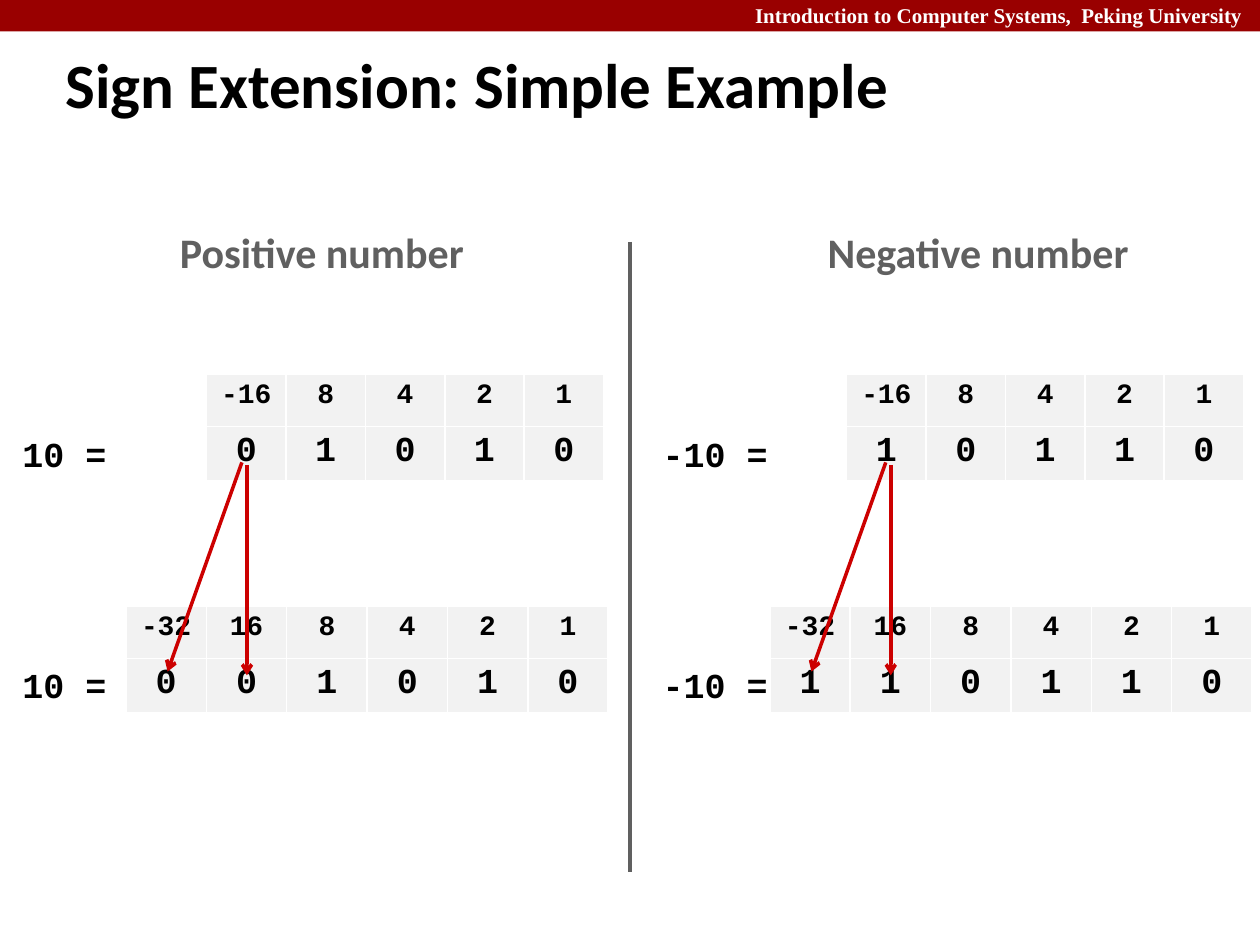
import pptx
import pptx.util
import pptx.dml.color
import pptx.enum.shapes
import pptx.enum.text
import pptx.oxml
import pptx.oxml.ns

COURSE = "Introduction to Computer Systems,  Peking University"
TITLE = "Sign Extension: Simple Example"
HALVES = [
    {
        "heading": "Positive number", "heading_left": 13.3, "heading_width": 24.8,
        "label": "10 =", "label_left": 0.8, "label_width": 10.4,
        "short": ["0", "1", "0", "1", "0"], "short_left": 16.4,
        "long": ["0", "0", "1", "0", "1", "0"], "long_left": 10,
    },
    {
        "heading": "Negative number", "heading_left": 64.7, "heading_width": 26.2,
        "label": "-10 =", "label_left": 51.6, "label_width": 12.1,
        "short": ["1", "0", "1", "1", "0"], "short_left": 67.2,
        "long": ["1", "1", "0", "1", "1", "0"], "long_left": 61.1,
    },
]
SHORT_TOP, LONG_TOP = 29.7, 48.1
SHORT_CELL, LONG_CELL = 6.3, 6.38
ROW_HEIGHT = 4.15
LABEL_DROP = 4.1
ARROWS = [(9.6, 36.9, 9.6, 53.6), (9.2, 36.7, 3.3, 53.3)]

WIDTH, HEIGHT = pptx.util.Inches(10), pptx.util.Inches(7.5)
COLUMNS, ROWS = 100, 75
MONO = "Courier New"
BLACK, WHITE, GREY = "000000", "FFFFFF", "606060"
RED, DARK_RED, PALE = "CC0000", "990000", "F2F2F2"


def x(columns):
    return round(WIDTH * columns / COLUMNS)


def y(rows):
    return round(HEIGHT * rows / ROWS)


def color(value):
    return pptx.dml.color.RGBColor.from_string(value)


def write(frame, text, size, font, tint, align="LEFT"):
    para = frame.paragraphs[0]
    para.text = text
    para.alignment = getattr(pptx.enum.text.PP_ALIGN, align)
    para.font.size = pptx.util.Pt(size)
    para.font.name = font
    para.font.bold = True
    para.font.color.rgb = color(tint)


def add_text(page, left, top, width, height, text, size, font, tint, align="LEFT"):
    box = page.shapes.add_textbox(x(left), y(top), x(width), y(height))
    box.text_frame.word_wrap = False
    write(box.text_frame, text, size, font, tint, align)


def add_border(cell):
    properties = cell._tc.get_or_add_tcPr()
    for position, side in enumerate(("lnL", "lnR", "lnT", "lnB")):
        border = pptx.oxml.parse_xml(
            f'<a:{side} {pptx.oxml.ns.nsdecls("a")} w="12700"><a:solidFill>'
            f'<a:srgbClr val="{WHITE}"/></a:solidFill></a:{side}>')
        properties.insert(position, border)


def add_bits(page, left, top, cell_width, bits):
    count = len(bits)
    weights = [str(2 ** power) for power in reversed(range(count))]
    weights[0] = "-" + weights[0]
    table = page.shapes.add_table(
        2, count, x(left), y(top), x(cell_width * count), y(2 * ROW_HEIGHT)).table
    for row, (values, size) in enumerate([(weights, 16), (bits, 20)]):
        for column, value in enumerate(values):
            cell = table.cell(row, column)
            cell.fill.solid()
            cell.fill.fore_color.rgb = color(PALE)
            write(cell.text_frame, value, size, MONO, BLACK, "CENTER")
            add_border(cell)


def add_line(page, start_x, start_y, end_x, end_y, tint, arrow=False):
    line = page.shapes.add_connector(
        pptx.enum.shapes.MSO_CONNECTOR.STRAIGHT,
        x(start_x), y(start_y), x(end_x), y(end_y))
    line.line.color.rgb = color(tint)
    line.line.width = pptx.util.Pt(2)
    if arrow:
        line.line._get_or_add_ln().append(pptx.oxml.parse_xml(
            f'<a:tailEnd {pptx.oxml.ns.nsdecls("a")} type="arrow"/>'))
    line._element.spPr.append(pptx.oxml.parse_xml(
        f'<a:effectLst {pptx.oxml.ns.nsdecls("a")}/>'))


def add_banner(page):
    banner = page.shapes.add_shape(
        pptx.enum.shapes.MSO_SHAPE.RECTANGLE, 0, 0, WIDTH, y(2.5))
    banner.shadow.inherit = False
    banner.fill.solid()
    banner.fill.fore_color.rgb = color(DARK_RED)
    banner.line.fill.background()
    add_text(page, 45, -0.3, 54.6, 3, COURSE, 12, "Times New Roman", WHITE, "RIGHT")


def add_title(page):
    title = page.shapes.title
    title.left, title.top, title.width, title.height = x(4.2), y(3.5), x(95.8), y(6.3)
    title.text_frame.auto_size = pptx.enum.text.MSO_AUTO_SIZE.NONE
    title.text_frame.vertical_anchor = pptx.enum.text.MSO_ANCHOR.MIDDLE
    write(title.text_frame, TITLE, 36, "Calibri", BLACK)


def add_half(page, half):
    add_text(page, half["heading_left"], 17.5, half["heading_width"], 5,
             half["heading"], 24, "Calibri", GREY)
    for top in (SHORT_TOP, LONG_TOP):
        add_text(page, half["label_left"], top + LABEL_DROP, half["label_width"], 4.4,
                 half["label"], 20, MONO, BLACK)
    add_bits(page, half["short_left"], SHORT_TOP, SHORT_CELL, half["short"])
    add_bits(page, half["long_left"], LONG_TOP, LONG_CELL, half["long"])
    left = half["long_left"]
    for start_x, start_y, end_x, end_y in ARROWS:
        add_line(page, left + start_x, start_y, left + end_x, end_y, RED, arrow=True)


def main():
    deck = pptx.Presentation()
    deck.slide_width, deck.slide_height = WIDTH, HEIGHT
    page = deck.slides.add_slide(deck.slide_layouts.get_by_name("Title Only"))
    add_banner(page)
    add_title(page)
    add_line(page, COLUMNS / 2, 19.2, COLUMNS / 2, 69.2, GREY)
    for half in HALVES:
        add_half(page, half)
    deck.save("out.pptx")


if __name__ == "__main__":
    main()
